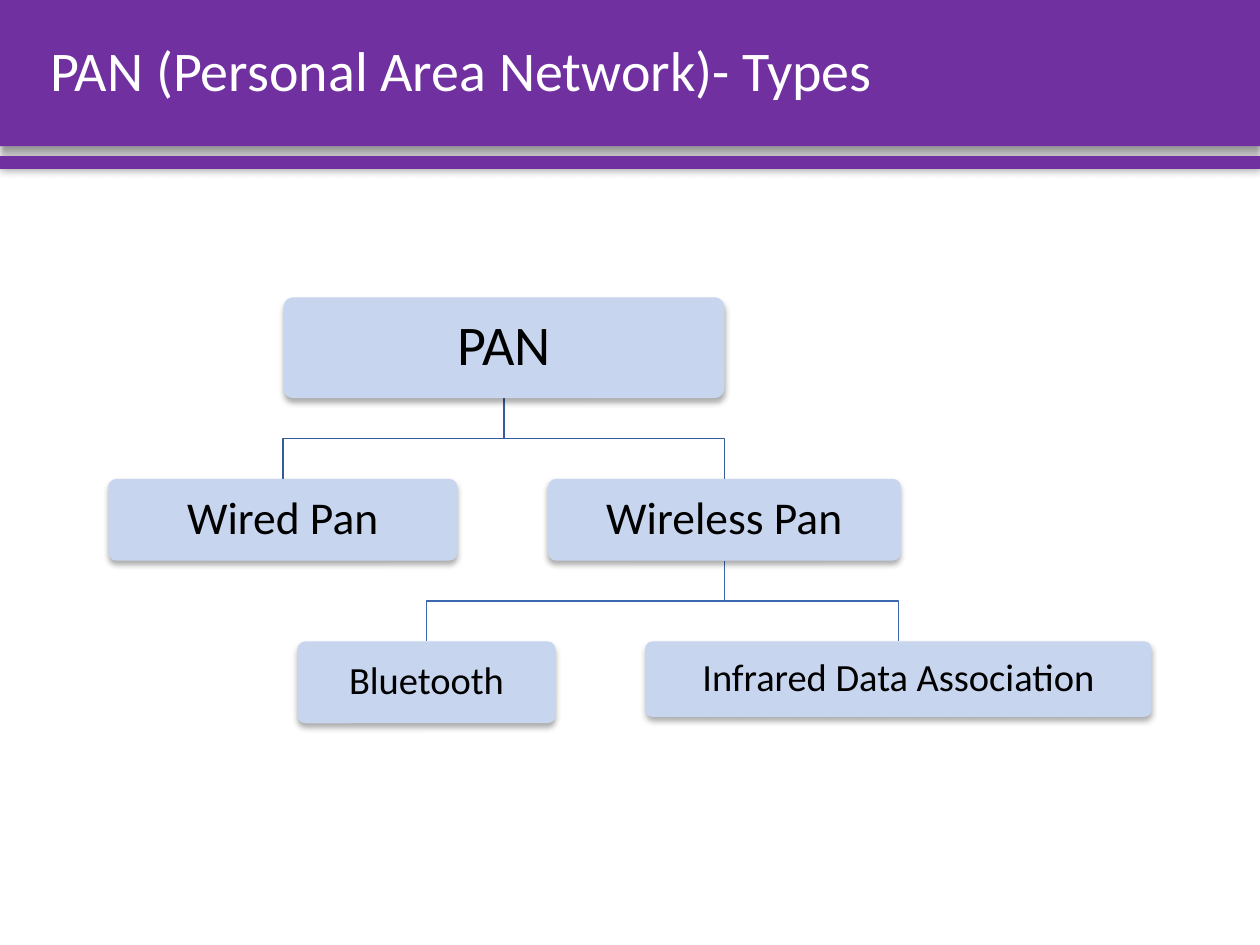
from lxml import etree
from pptx import Presentation, util as u
from pptx.dml.color import RGBColor
from pptx.enum import shapes, text
from pptx.oxml.ns import qn

# Content: name -> (label, parent, level, left, width, height)
TITLE = "PAN (Personal Area Network)- Types"
NODES = {
    "pan": ("PAN", None, 0, 2.25, 3.5, 0.8),
    "wired": ("Wired Pan", "pan", 1, 0.86, 2.77, 0.65),
    "air": ("Wireless Pan", "pan", 1, 4.35, 2.8, 0.65),
    "blue": ("Bluetooth", "air", 2, 2.36, 2.05, 0.65),
    "infra": ("Infrared Data Association", "air", 2, 5.12, 4.02, 0.6),
}
TOPS = [2.36, 3.8, 5.09]
BARS = [(0, 1.16, (4, 3)), (1.24, 0.1, (5, 0))]  # top, height, shadow

THEME = {
    "font": "Calibri", "bar": "7030A0", "box": "C8D5EE",
    "ink": "000000", "title": "FFFFFF", "title_size": 32,
    "sizes": [32, 26, 22], "lines": ["365B9D", "3E67B2"],
}


def rgb(code):
    return RGBColor.from_string(code)


def shade(shape, blur, dist, alpha):
    """Give the shape a soft black shadow that falls downward."""
    shape.shadow.inherit = False
    fx = shape._element.spPr.find(qn("a:effectLst"))
    drop = etree.SubElement(fx, qn("a:outerShdw"), blurRad=str(u.Pt(blur)),
                            dist=str(u.Pt(dist)), dir="5400000",
                            algn="ctr", rotWithShape="0")
    tint = etree.SubElement(drop, qn("a:srgbClr"), val="000000")
    etree.SubElement(tint, qn("a:alpha"), val=str(alpha * 1000))


def add_box(kind, spot, fill, shadow):
    box = slide.shapes.add_shape(kind, *map(u.Inches, spot))
    box.fill.solid()
    box.fill.fore_color.rgb = rgb(fill)
    box.line.fill.background()
    shade(box, *shadow)
    return box


def write(shape, words, size, color, align, inset):
    frame = shape.text_frame
    look = {"word_wrap": True, "vertical_anchor": text.MSO_ANCHOR.MIDDLE}
    for side in ("left", "right", "top", "bottom"):
        look["margin_" + side] = u.Inches(inset)
    for key, val in look.items():
        setattr(frame, key, val)
    para = frame.paragraphs[0]
    para.text = words
    para.alignment = align
    para.line_spacing = 0.9
    para.font.color.rgb = rgb(color)
    for key, val in {"name": THEME["font"], "size": u.Pt(size)}.items():
        setattr(para.font, key, val)


def add_link(name):
    """Draw the bent line from a parent's bottom to a child's top."""
    _, boss, level, left, width, _ = NODES[name]
    _, _, above, start, span, high = NODES[boss]
    x1, x2 = start + span / 2, left + width / 2
    y1, y2 = TOPS[above] + high, TOPS[level]
    mid = (y1 + y2) / 2
    path = [tuple(map(u.Inches, dot))
            for dot in ((x1, y1), (x1, mid), (x2, mid), (x2, y2))]
    pen = slide.shapes.build_freeform(*path[0])
    pen.add_line_segments(path[1:], close=False)
    link = pen.convert_to_shape()
    link.fill.background()
    link.line.color.rgb = rgb(THEME["lines"][above])
    link.line.width = u.Pt(1)
    link.shadow.inherit = False


deck = Presentation()
deck.slide_width, deck.slide_height = u.Inches(10), u.Inches(7.5)
slide = deck.slides.add_slide(deck.slide_layouts[6])

# Header bars and title
for top, height, soft in BARS:
    add_box(shapes.MSO_SHAPE.RECTANGLE, (0, top, 10, height),
            THEME["bar"], (*soft, 40))
head = slide.shapes.add_textbox(*map(u.Inches, (0.3, 0, 9.46, 1.16)))
write(head, TITLE, THEME["title_size"], THEME["title"],
      text.PP_ALIGN.LEFT, 0.1)

# Tree: links first, then boxes
for name, node in NODES.items():
    if node[1]:
        add_link(name)
for label, _, level, left, width, height in NODES.values():
    box = add_box(shapes.MSO_SHAPE.ROUNDED_RECTANGLE,
                  (left, TOPS[level], width, height),
                  THEME["box"], (3.5, 2.2, 32))
    box.adjustments[0] = 0.1
    write(box, label, THEME["sizes"][level], THEME["ink"],
          text.PP_ALIGN.CENTER, 0.13)

deck.save("out.pptx")
